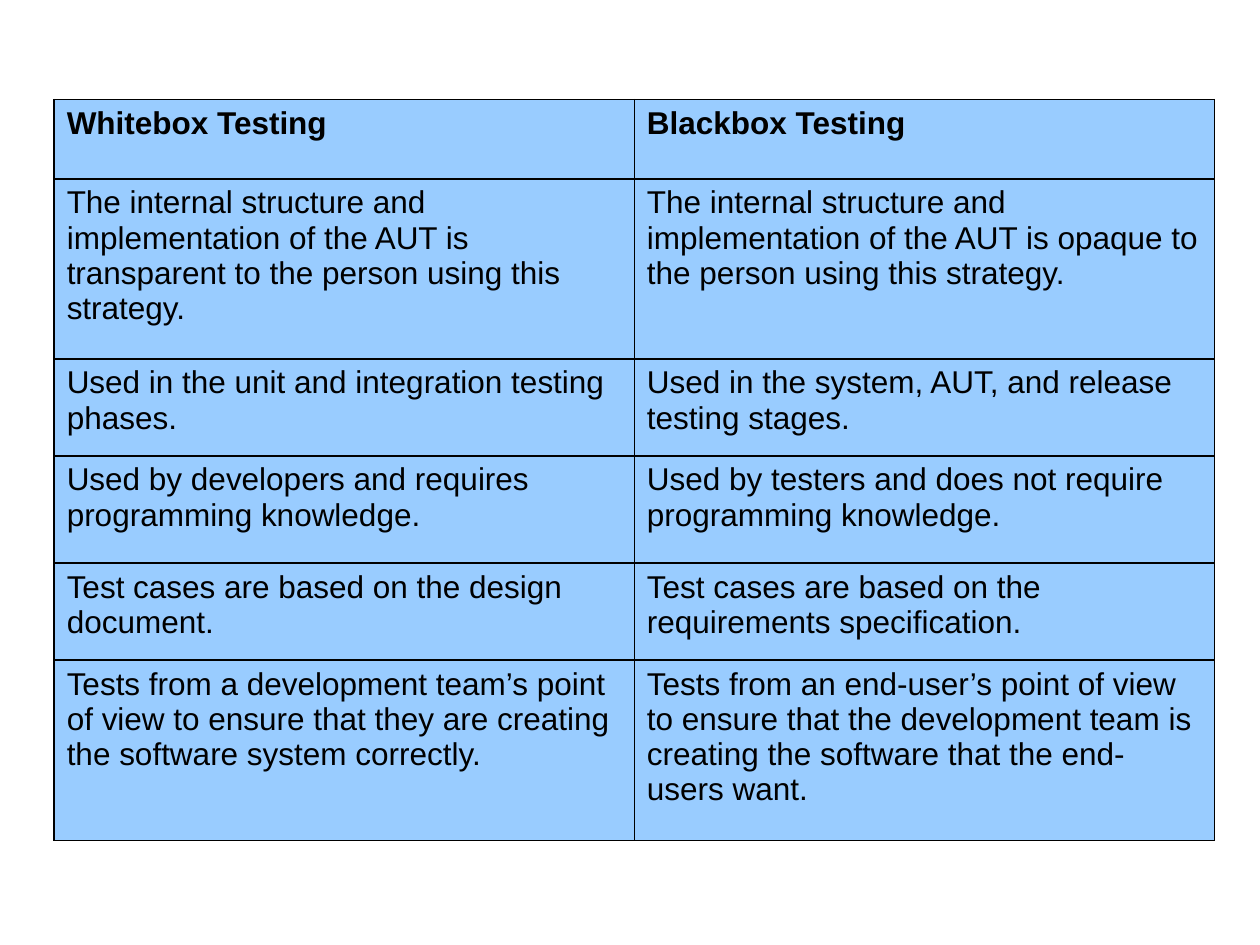
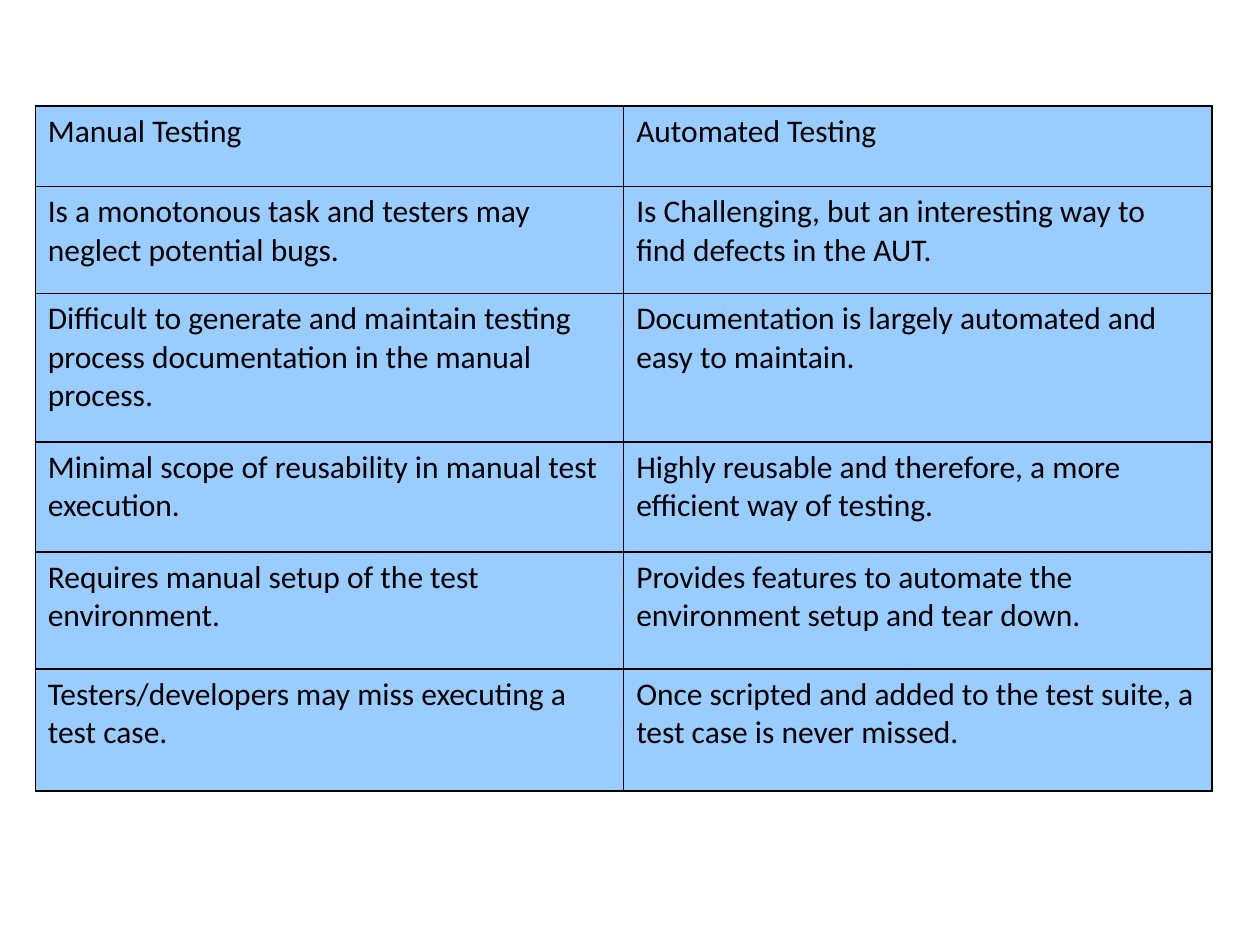
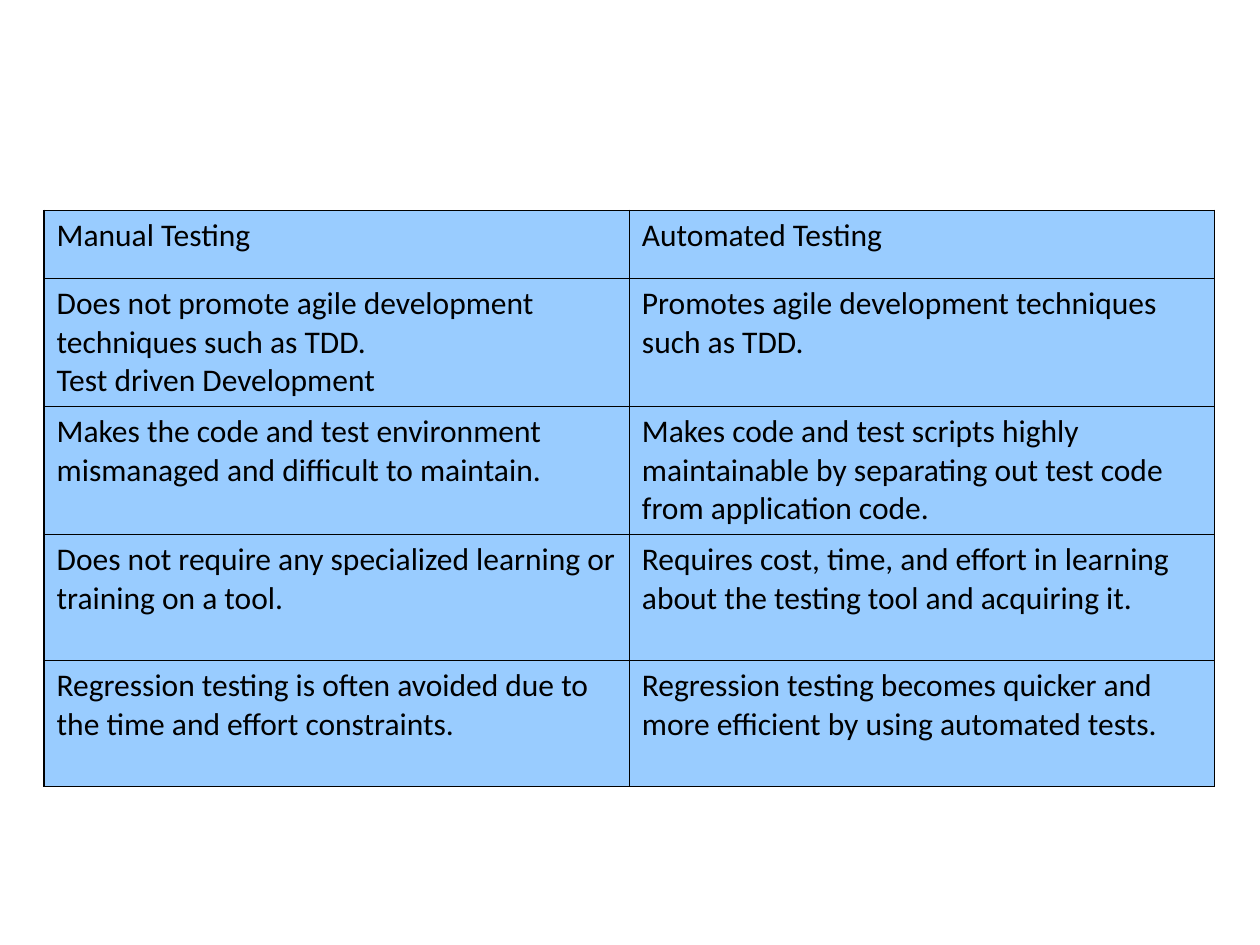
from dataclasses import dataclass

from lxml.etree import SubElement
from pptx import Presentation
from pptx.dml.color import RGBColor
from pptx.oxml.ns import qn
from pptx.util import Inches, Pt

CELL_BLUE = RGBColor(0x99, 0xCC, 0xFF)
BLACK = RGBColor(0, 0, 0)
PAGE_SIZE = {"slide_width": Inches(10), "slide_height": Inches(7.5)}
BLANK_LAYOUT = 6
TABLE_FLAGS = {"first_row": False, "horz_banding": False}
CELL_MARGINS = {
    "margin_left": Inches(0.1),
    "margin_right": Inches(0.1),
    "margin_top": Inches(0.05),
    "margin_bottom": Inches(0.05),
}
BORDER_WIDTH = Pt(1)
BORDER_SIDES = ("lnL", "lnR", "lnT", "lnB")


@dataclass
class Comparison:
    """Two ways of testing, set side by side: place in inches, type and wording."""
    left: float
    top: float
    width: float
    row_heights: list
    font_name: str
    bold_header: bool
    rows: list


WHITEBOX_BLACKBOX = Comparison(
    0.43, 0.79, 9.21, [0.63, 1.43, 0.77, 0.85, 0.77, 1.43], "Arial", True,
    [
        ("Whitebox Testing", "Blackbox Testing"),
        ("The internal structure and implementation of the AUT is transparent "
         "to the person using this strategy.",
         "The internal structure and implementation of the AUT is opaque "
         "to the person using this strategy."),
        ("Used in the unit and integration testing phases.",
         "Used in the system, AUT, and release testing stages."),
        ("Used by developers and requires programming knowledge.",
         "Used by testers and does not require programming knowledge."),
        ("Test cases are based on the design document.",
         "Test cases are based on the requirements specification."),
        ("Tests from a development team’s point of view to ensure that they "
         "are creating the software system correctly.",
         "Tests from an end-user’s point of view to ensure that the development "
         "team is creating the software that the end-users want."),
    ],
)

MANUAL_AUTOMATED_HEADER = ("Manual Testing", "Automated Testing")

MANUAL_AUTOMATED_WORK = Comparison(
    0.28, 0.84, 9.34, [0.64, 0.85, 1.18, 0.87, 0.93, 0.97], "Calibri", False,
    [
        MANUAL_AUTOMATED_HEADER,
        ("Is a monotonous task and testers may neglect potential bugs.",
         "Is Challenging, but an interesting way to find defects in the AUT."),
        ("Difficult to generate and maintain testing process documentation "
         "in the manual process.",
         "Documentation is largely automated and easy to maintain."),
        ("Minimal scope of reusability in manual test execution.",
         "Highly reusable and therefore, a more efficient way of testing."),
        ("Requires manual setup of the test environment.",
         "Provides features to automate the environment setup and tear down."),
        ("Testers/developers may miss executing a test case.",
         "Once scripted and added to the test suite, a test case is never missed."),
    ],
)

MANUAL_AUTOMATED_UPKEEP = Comparison(
    0.35, 1.67, 9.29, [0.54, 1, 1, 1, 1], "Calibri", False,
    [
        MANUAL_AUTOMATED_HEADER,
        ("Does not promote agile development techniques such as TDD.\n"
         "Test driven Development",
         "Promotes agile development techniques such as TDD."),
        ("Makes the code and test environment mismanaged and difficult to maintain.",
         "Makes code and test scripts highly maintainable by separating out "
         "test code from application code."),
        ("Does not require any specialized learning or training on a tool.",
         "Requires cost, time, and effort in learning about the testing tool "
         "and acquiring it."),
        ("Regression testing is often avoided due to the time and effort constraints.",
         "Regression testing becomes quicker and more efficient by using "
         "automated tests."),
    ],
)


def apply_format(target, values):
    """Set each named attribute of the target."""
    for name, value in values.items():
        setattr(target, name, value)


def draw_borders(cell):
    """Rule all four sides of a cell; call before the fill, which follows in the XML."""
    properties = cell._tc.get_or_add_tcPr()
    for side in BORDER_SIDES:
        line = SubElement(properties, qn(f"a:{side}"), w=str(BORDER_WIDTH))
        fill = SubElement(line, qn("a:solidFill"))
        SubElement(fill, qn("a:srgbClr"), val=str(BLACK))


def fill_cell(cell, text, font_values):
    """Write and format one cell of a comparison."""
    apply_format(cell, CELL_MARGINS)
    draw_borders(cell)
    cell.fill.solid()
    cell.fill.fore_color.rgb = CELL_BLUE
    cell.text = text
    for para in cell.text_frame.paragraphs:
        for span in para.runs:
            apply_format(span.font, font_values)
            span.font.color.rgb = BLACK


def add_comparison(deck, comparison):
    """Add a page with a two-column comparison table."""
    page = deck.slides.add_slide(deck.slide_layouts[BLANK_LAYOUT])
    box = [Inches(length) for length in (
        comparison.left, comparison.top, comparison.width, sum(comparison.row_heights))]
    table = page.shapes.add_table(
        len(comparison.rows), len(comparison.rows[0]), *box).table
    apply_format(table, TABLE_FLAGS)
    for row_index, (texts, height) in enumerate(
            zip(comparison.rows, comparison.row_heights)):
        row = table.rows[row_index]
        row.height = Inches(height)
        font_values = {
            "name": comparison.font_name,
            "size": Pt(18),
            "bold": comparison.bold_header and row_index == 0,
        }
        for cell, text in zip(row.cells, texts):
            fill_cell(cell, text, font_values)


def build_deck():
    """Build and save the three comparison pages."""
    deck = Presentation()
    apply_format(deck, PAGE_SIZE)
    for comparison in (WHITEBOX_BLACKBOX, MANUAL_AUTOMATED_WORK, MANUAL_AUTOMATED_UPKEEP):
        add_comparison(deck, comparison)
    deck.save("out.pptx")


build_deck()
